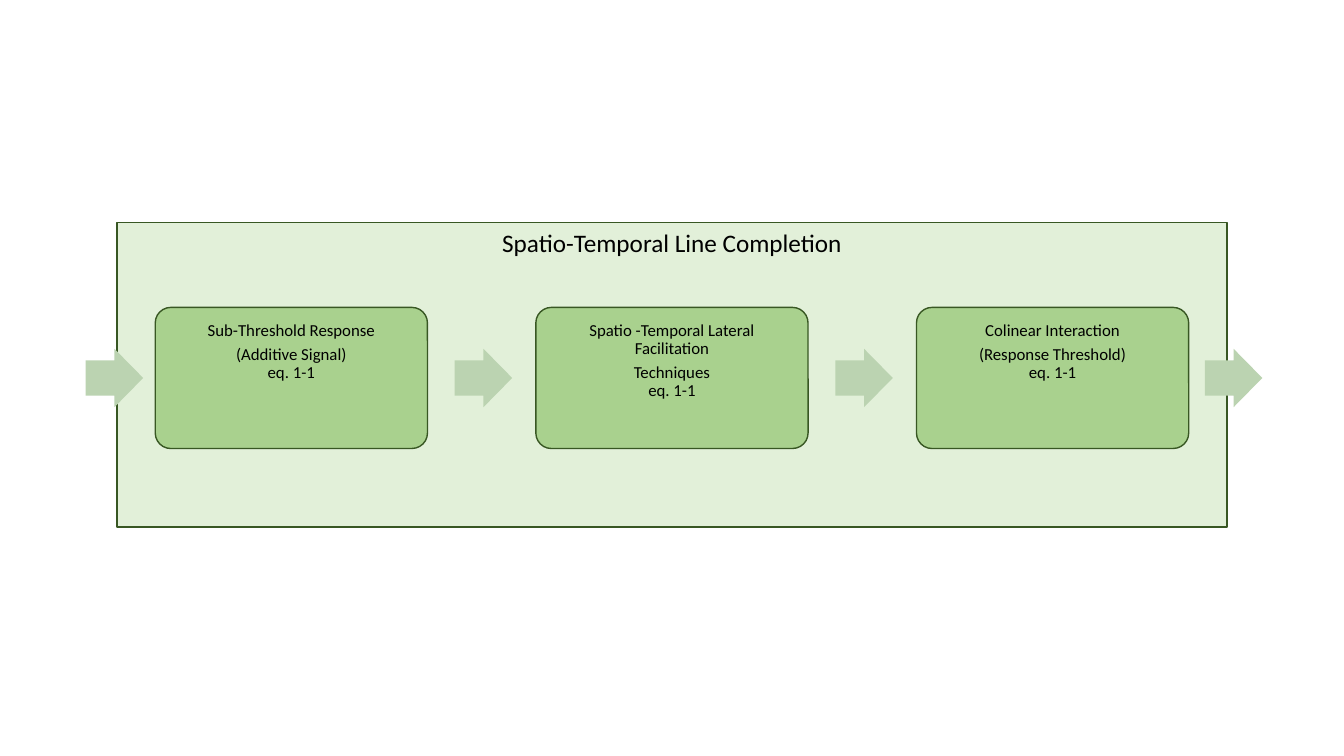
"""Build a slide showing the three stages of spatio-temporal line completion."""
from dataclasses import dataclass

import lxml.etree
import pptx
import pptx.dml.color
import pptx.enum.shapes
import pptx.enum.text
import pptx.oxml.ns
import pptx.shapes.autoshape
import pptx.shapes.base
import pptx.slide
import pptx.text.text
import pptx.util

Inches = pptx.util.Inches
Pt = pptx.util.Pt
RGBColor = pptx.dml.color.RGBColor
MSO_SHAPE = pptx.enum.shapes.MSO_SHAPE

PANEL_GREEN = RGBColor(0xE2, 0xF0, 0xD9)
BOX_GREEN = RGBColor(0xA9, 0xD1, 0x8E)
ARROW_GREEN = RGBColor(0xBB, 0xD3, 0xB1)
OUTLINE_GREEN = RGBColor(0x38, 0x57, 0x23)
BLACK = RGBColor(0x00, 0x00, 0x00)
FONT_NAME = "Calibri"

BOX_LEFT, BOX_TOP, BOX_WIDTH, BOX_HEIGHT = 1.54, 3.05, 2.7, 1.4
BOX_PITCH = 3.775
ARROW_GAP = 0.27
ARROW_TOP, ARROW_WIDTH, ARROW_HEIGHT = 3.46, 0.57, 0.58
INPUT_ARROW_LEFT, OUTPUT_ARROW_LEFT = 0.85, 11.95


@dataclass(frozen=True)
class Stage:
    name: str
    detail: str
    equation: str

    @property
    def paragraphs(self) -> list[list[str]]:
        return [[self.name], [self.detail, self.equation]]


STAGES = [
    Stage("Sub-Threshold Response", "(Additive Signal)", "eq. 1-1"),
    Stage("Spatio -Temporal Lateral Facilitation", "Techniques", "eq. 1-1"),
    Stage("Colinear Interaction", "(Response Threshold)", "eq. 1-1"),
]


def place(shape: pptx.shapes.base.BaseShape, left: float, top: float, width: float, height: float) -> None:
    shape.left, shape.top = Inches(left), Inches(top)
    shape.width, shape.height = Inches(width), Inches(height)


def paint(shape: pptx.shapes.autoshape.Shape, color: RGBColor) -> None:
    shape.fill.solid()
    shape.fill.fore_color.rgb = color
    shape.line.color.rgb = OUTLINE_GREEN
    shape.line.width = Pt(1)


def write_lines(paragraph: pptx.text.text._Paragraph, lines: list[str], size: float) -> None:
    paragraph.alignment = pptx.enum.text.PP_ALIGN.CENTER
    for index, line in enumerate(lines):
        if index:
            paragraph.add_line_break()
        run = paragraph.add_run()
        run.text = line
        run.font.name = FONT_NAME
        run.font.size = Pt(size)
        run.font.color.rgb = BLACK


def draw_panel(slide: pptx.slide.Slide, heading: str) -> None:
    panel = slide.shapes.title
    place(panel, 1.16, 2.21, 11.01, 3.02)
    geometry = lxml.etree.SubElement(
        panel.element.spPr, pptx.oxml.ns.qn("a:prstGeom"), prst="roundRect"
    )
    lxml.etree.SubElement(geometry, pptx.oxml.ns.qn("a:avLst"))
    paint(panel, PANEL_GREEN)
    text_frame = panel.text_frame
    text_frame.auto_size = pptx.enum.text.MSO_AUTO_SIZE.NONE
    text_frame.vertical_anchor = pptx.enum.text.MSO_ANCHOR.TOP
    write_lines(text_frame.paragraphs[0], [heading], 18)


def draw_stage(slide: pptx.slide.Slide, stage: Stage, left: float) -> None:
    box = slide.shapes.add_shape(
        MSO_SHAPE.ROUNDED_RECTANGLE,
        Inches(left), Inches(BOX_TOP), Inches(BOX_WIDTH), Inches(BOX_HEIGHT),
    )
    box.adjustments[0] = 0.11
    box.shadow.inherit = False
    paint(box, BOX_GREEN)
    text_frame = box.text_frame
    text_frame.word_wrap = True
    text_frame.vertical_anchor = pptx.enum.text.MSO_ANCHOR.TOP
    text_frame.margin_left = text_frame.margin_right = Inches(0.1)
    text_frame.margin_top = text_frame.margin_bottom = Inches(0.1)
    for index, lines in enumerate(stage.paragraphs):
        paragraph = text_frame.add_paragraph() if index else text_frame.paragraphs[0]
        paragraph.line_spacing = 0.9
        paragraph.space_after = Pt(4.2)
        write_lines(paragraph, lines, 12)


def draw_arrow(slide: pptx.slide.Slide, left: float) -> None:
    arrow = slide.shapes.add_shape(
        MSO_SHAPE.RIGHT_ARROW,
        Inches(left), Inches(ARROW_TOP), Inches(ARROW_WIDTH), Inches(ARROW_HEIGHT),
    )
    arrow.adjustments[0] = 0.6
    arrow.adjustments[1] = 0.5
    arrow.shadow.inherit = False
    arrow.fill.solid()
    arrow.fill.fore_color.rgb = ARROW_GREEN
    arrow.line.fill.background()


def main() -> None:
    presentation = pptx.Presentation()
    presentation.slide_width = Inches(13.33)
    presentation.slide_height = Inches(7.5)
    slide = presentation.slides.add_slide(presentation.slide_layouts.get_by_name("Title Only"))

    draw_panel(slide, "Spatio-Temporal Line Completion")
    for index, stage in enumerate(STAGES):
        left = BOX_LEFT + index * BOX_PITCH
        draw_stage(slide, stage, left)
        if index < len(STAGES) - 1:
            draw_arrow(slide, left + BOX_WIDTH + ARROW_GAP)
    for left in (INPUT_ARROW_LEFT, OUTPUT_ARROW_LEFT):
        draw_arrow(slide, left)

    presentation.save("out.pptx")


if __name__ == "__main__":
    main()
